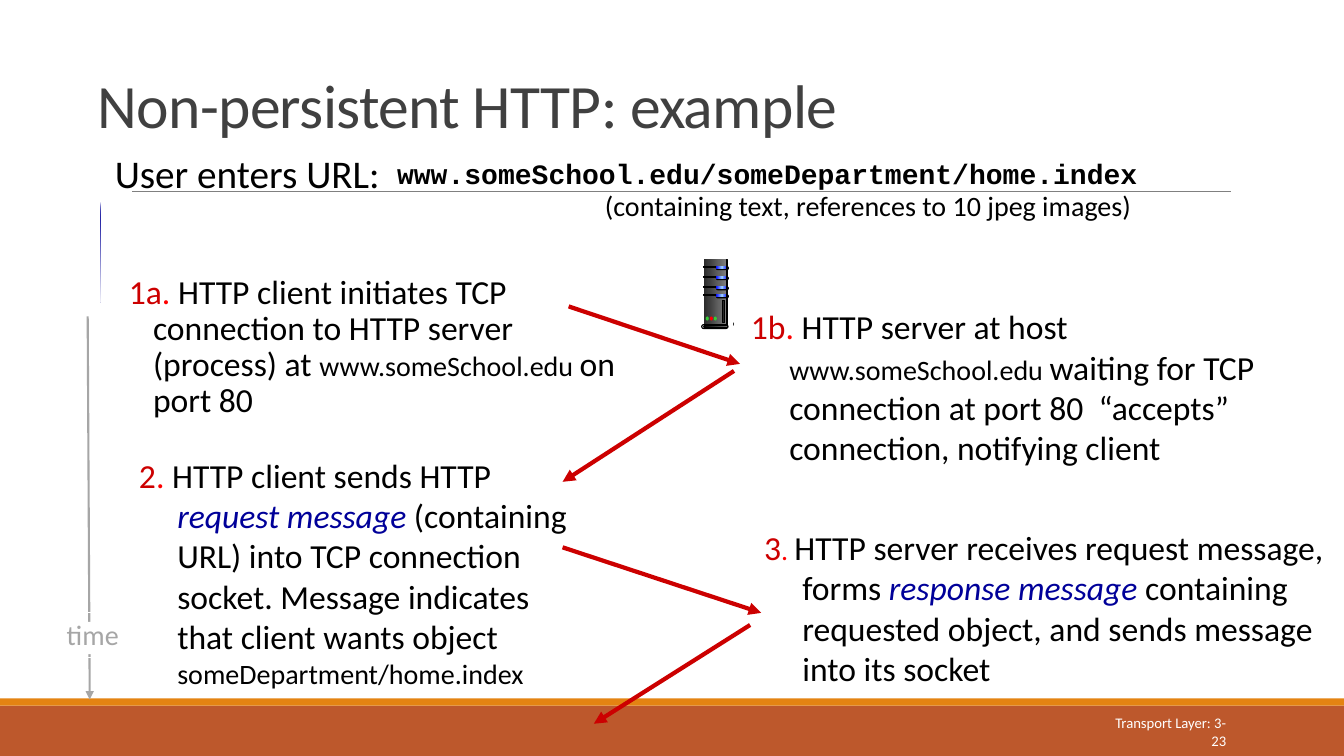
from lxml import etree
from pptx import Presentation
from pptx.dml.color import RGBColor
from pptx.enum.shapes import MSO_CONNECTOR, MSO_SHAPE
from pptx.enum.text import MSO_ANCHOR, PP_ALIGN
from pptx.oxml.ns import qn
from pptx.util import Inches, Pt

RECT = MSO_SHAPE.RECTANGLE
PILL = MSO_SHAPE.ROUNDED_RECTANGLE
OVAL = MSO_SHAPE.OVAL
STRAIGHT = MSO_CONNECTOR.STRAIGHT
TOP, MIDDLE, BOTTOM = MSO_ANCHOR.TOP, MSO_ANCHOR.MIDDLE, MSO_ANCHOR.BOTTOM
LEFT, CENTER, RIGHT = PP_ALIGN.LEFT, PP_ALIGN.CENTER, PP_ALIGN.RIGHT

BLACK, GREY, WHITE = "000000", "A6A6A6", "FFFFFF"
RED, BRIGHT_RED, NAVY = "CC0000", "FF0000", "000099"
DARK_METAL = ("292929", "808080")
LAMP = ("0000FF", "99CCFF", "0000FF")


def rgb(value):
    """Turn a hex string into a colour."""
    return RGBColor.from_string(value)


def run(text, size=24, color=BLACK, font="Calibri", bold=False, italic=False, spacing=None):
    """Describe a piece of text with its format."""
    return dict(text=text, size=size, color=color, font=font,
                bold=bold, italic=italic, spacing=spacing)


class SlideBuilder:
    """Draw styled elements on one slide."""

    def __init__(self, s):
        """Keep the slide to draw on."""
        self.s = s

    def paint(self, sp, fill=None, line=None, angle=0):
        """Set fill, outline and shadow; a tuple of colours is a gradient."""
        sp.shadow.inherit = False
        if isinstance(fill, tuple):
            sp.fill.gradient()
            grad = sp._element.spPr.find(qn("a:gradFill"))
            stops = grad.find(qn("a:gsLst"))
            for stop in list(stops):
                stops.remove(stop)
            for i, color in enumerate(fill):
                stop = etree.SubElement(stops, qn("a:gs"), pos=str(i * 100000 // (len(fill) - 1)))
                etree.SubElement(stop, qn("a:srgbClr"), val=color)
            grad.find(qn("a:lin")).set("ang", str(angle * 60000))
        elif fill:
            sp.fill.solid()
            sp.fill.fore_color.rgb = rgb(fill)
        else:
            sp.fill.background()
        if line:
            sp.line.color.rgb = rgb(line)
            sp.line.width = Pt(0.75)
        else:
            sp.line.fill.background()
        return sp

    def shape(self, kind, x, y, w, h, fill=None, line=None):
        """Add a preset shape."""
        sp = self.s.shapes.add_shape(kind, Inches(x), Inches(y), Inches(w), Inches(h))
        if kind == PILL:
            sp.adjustments[0] = 0.5
        return self.paint(sp, fill, line)

    def outline(self, points, fill, angle=0):
        """Add a closed freeform through the points."""
        fb = self.s.shapes.build_freeform(*points[0], scale=Inches(1))
        fb.add_line_segments(points[1:], close=True)
        return self.paint(fb.convert_to_shape(), fill, angle=angle)

    def line(self, start, end, color, width, arrow=True):
        """Add a straight line, with an arrowhead at its end if wanted."""
        c = self.s.shapes.add_connector(STRAIGHT, *map(Inches, start + end))
        c.line.color.rgb = rgb(color)
        c.line.width = Pt(width)
        if arrow:
            etree.SubElement(c.line._get_or_add_ln(), qn("a:tailEnd"), type="triangle")
        etree.SubElement(c._element.spPr, qn("a:effectLst"))

    def text(self, x, y, w, h, *runs, hanging=None, spacing=None,
             align=LEFT, anchor=TOP, wrap=True):
        """Add a text box with one paragraph of runs."""
        sp = self.s.shapes.add_textbox(Inches(x), Inches(y), Inches(w), Inches(h))
        tf = sp.text_frame
        tf.word_wrap = wrap
        tf.vertical_anchor = anchor
        p = tf.paragraphs[0]
        p.alignment = align
        if spacing:
            p.line_spacing = spacing
        if hanging:
            margin, indent = hanging
            pPr = p._p.get_or_add_pPr()
            pPr.set("marL", str(Inches(margin)))
            pPr.set("indent", str(Inches(indent)))
        for item in runs:
            r = p.add_run()
            r.text = item["text"]
            r.font.size = Pt(item["size"])
            r.font.name = item["font"]
            r.font.color.rgb = rgb(item["color"])
            r.font.bold = item["bold"]
            r.font.italic = item["italic"]
            if item["spacing"]:
                r._r.get_or_add_rPr().set("spc", str(int(item["spacing"] * 100)))
        return sp

    def server(self):
        """Draw the server tower with its drives and lamps."""
        self.outline([(7.22, 2.57), (7.27, 2.65), (7.27, 3.21), (7.21, 3.24)],
                     ("DDDDDD", "333333"))
        self.shape(RECT, 6.98, 2.57, 0.23, 0.67, DARK_METAL)
        self.outline([(7.22, 2.61), (7.26, 2.66), (7.23, 3.1), (7.22, 3.22)],
                     ("808080", "F8F8F8"))
        drives = (2.64, 2.74, 2.84, 2.92)
        for y in drives:
            self.shape(RECT, 6.98, y, 0.13, 0.01, BLACK, BLACK)
            self.shape(PILL, 7.1, y, 0.13, 0.04, BLACK)
            self.shape(PILL, 7.1, y, 0.12, 0.03, LAMP)
        self.shape(RECT, 7.21, 2.57, 0.01, 0.67, ("333333", "DDDDDD", "333333"), BLACK)
        for y in drives:
            self.outline([(7.22, y), (7.27, y + 0.03), (7.27, y + 0.06), (7.22, y + 0.02)],
                         DARK_METAL)
        self.shape(OVAL, 7.27, 3.2, 0.01, 0.03, "333333")
        self.outline([(7.22, 3.23), (7.22, 3.26), (7.27, 3.23), (7.27, 3.21)], "333333")
        self.shape(PILL, 6.96, 3.22, 0.26, 0.04, "DDDDDD", BLACK)
        self.shape(PILL, 6.98, 3.23, 0.24, 0.02, (BLACK, "808080"), BLACK)
        for i, color in enumerate(("33CC33", BRIGHT_RED, "33CC33")):
            self.shape(OVAL, 7 + i * 0.04, 3.14, 0.03, 0.04, color)
        self.shape(RECT, 7.17, 2.98, 0.02, 0.22, "292929", BLACK)


def main():
    """Build and save the slide."""
    prs = Presentation()
    prs.slide_width, prs.slide_height = Inches(13.33), Inches(7.5)
    b = SlideBuilder(prs.slides.add_slide(prs.slide_layouts[6]))

    b.shape(RECT, 0, 7, 13.33, 0.5, "BD582C")
    b.shape(RECT, 0, 6.93, 13.33, 0.07, "E48312")
    b.line((1.31, 1.9), (12.21, 1.9), "808080", 0.5, arrow=False)
    b.text(0.87, 0.47, 11.5, 0.98,
           run("Non-persistent HTTP: example", 44, "404040", spacing=-0.5),
           spacing=0.85, anchor=BOTTOM)
    b.text(10.83, 7.06, 1.43, 0.4, run("Transport Layer: 3-23", 10.5, WHITE),
           align=RIGHT, anchor=MIDDLE)

    b.line((0.87, 3.14), (0.89, 6.94), GREY, 1.5)
    b.shape(RECT, 0.54, 6.17, 0.72, 0.32, WHITE)
    time = b.text(0.55, 6.08, 0.74, 0.44, run("time", 20, GREY), align=CENTER, wrap=False)
    b.paint(time, line=WHITE)

    wide, step = (0.39, -0.24), (0.38, -0.38)
    dot = run(".", color=BRIGHT_RED)
    b.text(0.89, 1.48, 8.69, 0.51, run("User enters URL:", 28), hanging=wide, spacing=0.9)
    b.text(1.03, 2.68, 5.3, 2.08, run("1a", color=RED), dot,
           run(" HTTP client initiates TCP connection to HTTP server (process) at "),
           run("www.someSchool.edu ", 20), run("on port 80"), hanging=wide, spacing=0.9)
    b.text(1.28, 4.46, 4.61, 1.18, run("2", color=RED), dot, run(" HTTP client sends HTTP "),
           run("request message", color=NAVY, italic=True),
           run(" (containing URL) into TCP connection socket. "
               "Message indicates that client wants object "),
           run("someDepartment/home.index", 20), hanging=step)
    b.text(7.35, 2.99, 5.8, 1.65, run("1b", color=RED), dot, run(" HTTP server at host "),
           run("www.someSchool.edu ", 20),
           run("waiting for TCP connection at port 80  “accepts” connection, notifying client"),
           hanging=step)
    b.text(7.48, 5.18, 5.9, 1.97, run("3", color=RED), run(". ", 20, BRIGHT_RED),
           run("HTTP server receives request message, forms "),
           run("response message", color=NAVY, italic=True),
           run(" containing requested object, and sends message into its socket"),
           hanging=step)

    for start, end in (((5.58, 5.43), (7.55, 6.08)), ((7.44, 6.2), (5.89, 7.18)),
                       ((5.64, 3.04), (7.34, 3.61)), ((7.28, 3.68), (5.58, 4.78))):
        b.line(start, end, RED, 3)

    b.text(5.12, 1.82, 6.98, 0.44,
           run("(containing text, references to 10 jpeg images)", 20), align=CENTER)
    b.text(3.84, 1.55, 8.69, 0.51,
           run("www.someSchool.edu/someDepartment/home.index", 20, font="Courier New", bold=True),
           hanging=step, spacing=0.85)

    b.outline([(1.19, 2.33), (0.84, 2.34), (0.77, 2.62), (1.1, 2.7)], (NAVY, WHITE), 135)
    b.server()
    prs.save("out.pptx")


if __name__ == "__main__":
    main()
